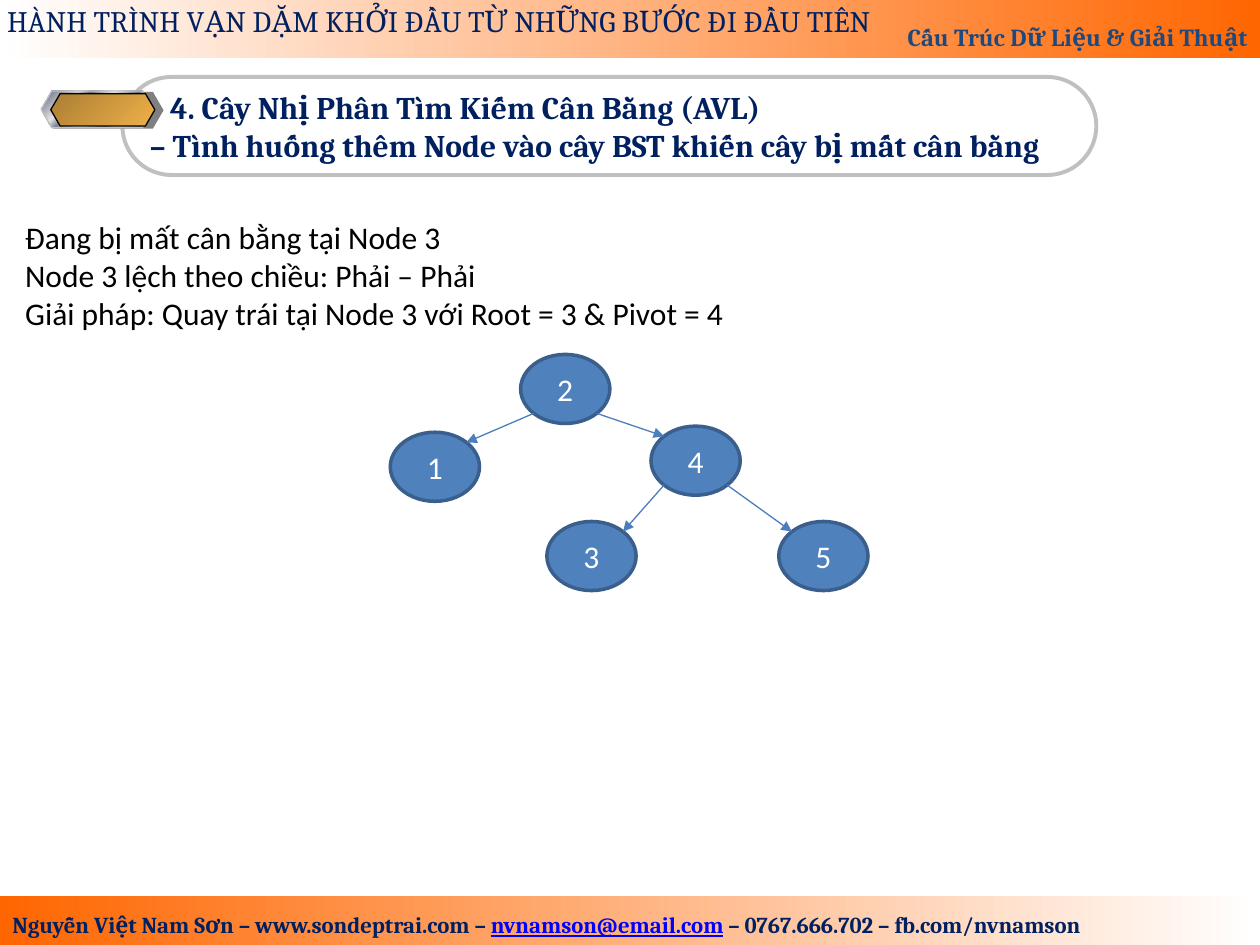
from math import sqrt
from lxml.etree import SubElement
from pptx import Presentation
from pptx.dml.color import RGBColor
from pptx.enum.shapes import MSO_CONNECTOR as Link, MSO_SHAPE as Form
from pptx.enum.text import MSO_ANCHOR as Anchor, MSO_AUTO_SIZE as Fit, PP_ALIGN as Align
from pptx.oxml.ns import qn
from pptx.util import Pt

WHITE = RGBColor(0xFF, 0xFF, 0xFF)
BLACK = RGBColor(0, 0, 0)
ORANGE = RGBColor(0xFF, 0x66, 0x00)
NAVY = RGBColor(0x00, 0x20, 0x60)
SLATE = RGBColor(0x1F, 0x49, 0x7D)
BLUE = RGBColor(0x00, 0x00, 0xFF)
NODE = RGBColor(0x4F, 0x81, 0xBD)
RIM = RGBColor(0x3A, 0x5F, 0x8C)
EDGE = RGBColor(0x4B, 0x7E, 0xBC)
SILVER = RGBColor(0xC0, 0xC0, 0xC0)
GRAY = RGBColor(0x80, 0x80, 0x80)
PALE = RGBColor(0xE6, 0xE6, 0xE6)
STEEL = RGBColor(0x7D, 0x84, 0x96)
BROWN = RGBColor(0xAB, 0x7E, 0x34)
GOLD = RGBColor(0xEF, 0xB0, 0x49)

# Content: each line is a list of (text, colour, extra format) runs
TITLE = [
    [("4. Cây Nhị Phân Tìm Kiếm Cân Bằng (AVL)", NAVY, {})],
    [("– Tình huống thêm Node vào cây BST khiến cây bị mất cân bằng", NAVY, {})],
]
NOTES = [[(line, BLACK, {})] for line in (
    "Đang bị mất cân bằng tại Node 3",
    "Node 3 lệch theo chiều: Phải – Phải",
    "Giải pháp: Quay trái tại Node 3 với Root = 3 & Pivot = 4",
)]
COURSE = [[("Cấu Trúc Dữ Liệu & Giải Thuật", SLATE, {})]]
MOTTO = [[("HÀNH TRÌNH VẠN DẶM KHỞI ĐẦU TỪ NHỮNG BƯỚC ĐI ĐẦU TIÊN", NAVY, {})]]
CONTACT = [[
    ("Nguyễn Việt Nam Sơn – www.sondeptrai.com – ", NAVY, {}),
    ("nvnamson@email.com", BLUE, {"underline": True}),
    (" – 0767.666.702 – fb.com/nvnamson", NAVY, {}),
]]
# Tree: label -> left, top; edges as (parent, child)
NODES = {"1": (223, 247), "2": (297.5, 202.5), "4": (372, 243.5),
         "3": (312.5, 298), "5": (445, 298)}
EDGES = [("2", "1"), ("2", "4"), ("4", "3"), ("4", "5")]
NODE_W, NODE_H = 51, 39.5

SHEEN = [(0, PALE), (7, STEEL), (26, PALE), (34, STEEL), (46, PALE), (50, WHITE),
         (54, PALE), (66, STEEL), (74, PALE), (93, STEEL), (100, PALE)]
# Badge layers: box, gradient stops or plain colour, line colour
BADGE = [
    ((24.5, 52.5, 69, 21), GRAY, None),
    ((23.5, 52, 64, 21), SHEEN, SILVER),
    ((29, 53.5, 59.5, 18.5), [(0, BROWN), (100, GOLD)], BLACK),
]

HEAD = {"name": "Cambria", "bold": True}
BODY = {"name": "Calibri", "size": Pt(18), "bold": False}


def shade(shape, stops, angle=0):
    """Fill with a linear gradient of (percent, colour) stops."""
    shape.fill.gradient()
    grad = shape._element.spPr.find(qn("a:gradFill"))
    for part in list(grad):
        grad.remove(part)
    group = SubElement(grad, qn("a:gsLst"))
    for pos, color in stops:
        stop = SubElement(group, qn("a:gs"), pos=str(pos * 1000))
        SubElement(stop, qn("a:srgbClr"), val=str(color))
    SubElement(grad, qn("a:lin"), ang=str(angle * 60000), scaled="0")


def draw(form, box, fill=None, line=None, width=0.75):
    shape = slide.shapes.add_shape(form, *map(Pt, box))
    shape.shadow.inherit = False
    if isinstance(fill, list):
        shade(shape, fill, 0 if form == Form.RECTANGLE else 45)
    elif fill is None:
        shape.fill.background()
    else:
        shape.fill.solid()
        shape.fill.fore_color.rgb = fill
    if line is None:
        shape.line.fill.background()
    else:
        shape.line.color.rgb = line
        shape.line.width = Pt(width)
    return shape


def write(shape, lines, style, align=Align.LEFT, anchor=Anchor.TOP):
    frame = shape.text_frame
    frame.word_wrap, frame.auto_size = True, Fit.NONE
    frame.vertical_anchor = anchor
    for i, line in enumerate(lines):
        para = frame.add_paragraph() if i else frame.paragraphs[0]
        props = para._p.get_or_add_pPr()
        props.set("marL", "0")
        props.set("indent", "0")
        SubElement(props, qn("a:buNone"))
        para.alignment = align
        para.space_before = Pt(0)
        for text, color, extra in line:
            run = para.add_run()
            run.text = text
            for key, value in {**style, **extra}.items():
                setattr(run.font, key, value)
            run.font.color.rgb = color
    return frame


def place(shape, box):
    shape.left, shape.top, shape.width, shape.height = map(Pt, box)
    return shape


def note(box, lines, style):
    write(slide.shapes.add_textbox(*map(Pt, box)), lines, style)


def link(start, end):
    """Arrow between the facing diagonal points of two nodes."""
    (x1, y1), (x2, y2) = NODES[start], NODES[end]
    dx, dy = NODE_W / sqrt(8), NODE_H / sqrt(8)
    side = 1 if x2 > x1 else -1
    mid, half = NODE_W / 2, NODE_H / 2
    ends = (x1 + mid + side * dx, y1 + half + dy, x2 + mid - side * dx, y2 + half - dy)
    arrow = slide.shapes.add_connector(Link.STRAIGHT, *map(Pt, ends))
    arrow.line.color.rgb = EDGE
    arrow.line.width = Pt(0.75)
    SubElement(arrow.line._get_or_add_ln(), qn("a:tailEnd"), type="triangle")
    SubElement(arrow._element.spPr, qn("a:effectLst"))


deck = Presentation()
deck.slide_width, deck.slide_height = Pt(720), Pt(540)
slide = deck.slides.add_slide(deck.slide_layouts[1])
title, body = slide.placeholders

# Title and explanation
frame = write(place(title, (78.5, 44, 540, 56)), TITLE, {**HEAD, "size": Pt(18)},
              anchor=Anchor.MIDDLE)
frame.paragraphs[0]._p.pPr.set("marL", str(Pt(11.5)))
write(place(body, (7.2, 121, 420.5, 73)), NOTES, BODY)

# Header and footer bands
draw(Form.RECTANGLE, (0, 512, 720, 28), [(0, ORANGE), (100, WHITE)])
top = draw(Form.RECTANGLE, (0, 0, 720, 33), [(0, WHITE), (100, ORANGE)])
write(top, COURSE, {**HEAD, "size": Pt(14)}, Align.RIGHT, Anchor.BOTTOM)
note((0, 517, 651, 23), CONTACT, {**HEAD, "size": Pt(13)})
note((-3, -2, 534, 28), MOTTO, {"name": "Cambria", "size": Pt(17)})

# Title frame and badge
pill = draw(Form.ROUNDED_RECTANGLE, (70, 44, 556.5, 56), None, SILVER, 2.25)
pill.adjustments[0] = 0.5
for box, fill, line in BADGE:
    draw(Form.HEXAGON, box, fill, line).adjustments[0] = 0.29

# Tree
for label, (x, y) in NODES.items():
    node = draw(Form.OVAL, (x, y, NODE_W, NODE_H), NODE, RIM, 2)
    write(node, [[(label, WHITE, {})]], BODY, Align.CENTER, Anchor.MIDDLE)
for start, end in EDGES:
    link(start, end)

deck.save("out.pptx")
